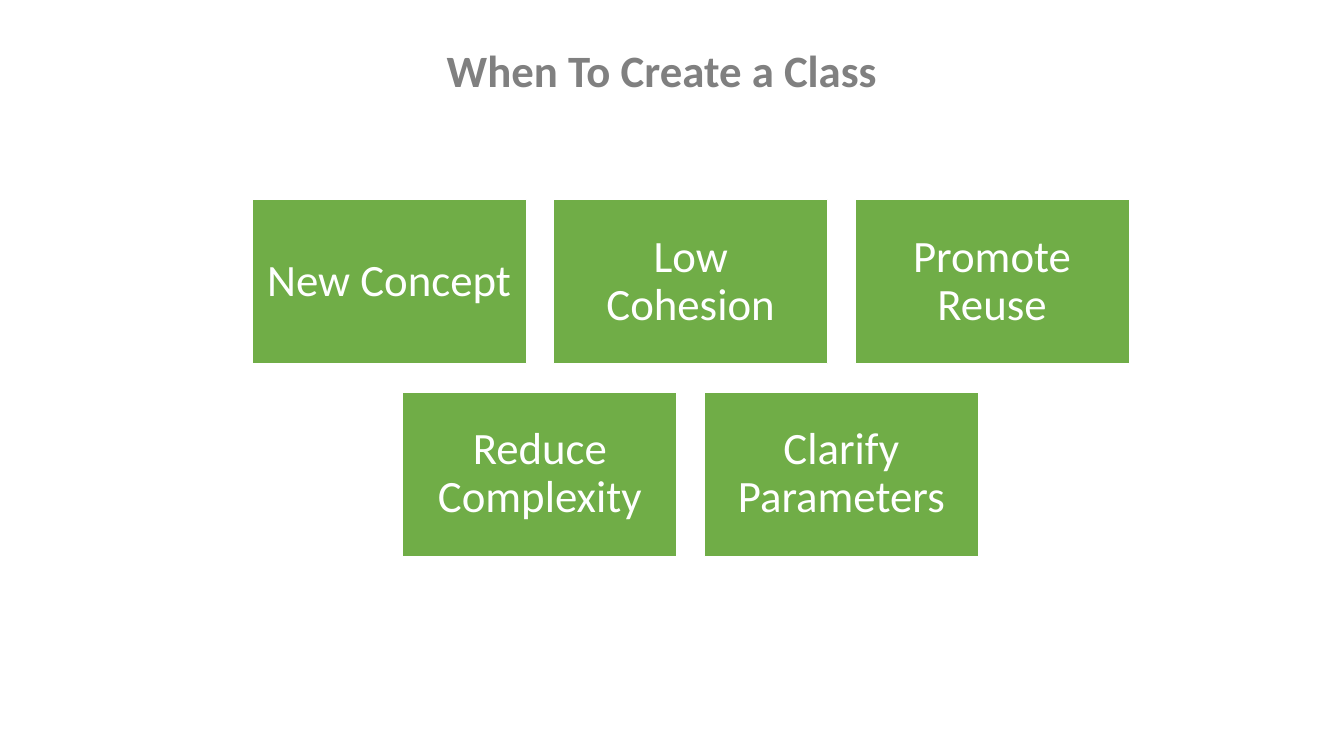
from pptx import Presentation
from pptx.dml.color import RGBColor
from pptx.enum.shapes import MSO_SHAPE
from pptx.enum.text import MSO_ANCHOR, MSO_AUTO_SIZE, PP_ALIGN
from pptx.util import Inches, Pt

TITLE = "When To Create a Class"
REASONS = [
    ["New Concept", "Low Cohesion", "Promote Reuse"],
    ["Reduce Complexity", "Clarify Parameters"],
]
COLORS = {"title": "808080", "box": "70AD47", "white": "FFFFFF"}
RECT, CENTER = MSO_SHAPE.RECTANGLE, PP_ALIGN.CENTER
MIDDLE, TOP, NO_FIT = MSO_ANCHOR.MIDDLE, MSO_ANCHOR.TOP, MSO_AUTO_SIZE.NONE

SLIDE_W, SLIDE_H = 13.33, 7.5
TITLE_BOX = (2.68, 0.37, 7.77, 0.64)
BOX_W, BOX_H, GAP = 2.72, 1.63, 0.27
GRID_CENTER, GRID_TOP, ROW_STEP = 6.85, 1.98, 1.91
TITLE_FRAME = {"word_wrap": True, "auto_size": NO_FIT, "vertical_anchor": TOP}
BOX_FRAME = {"word_wrap": True, "vertical_anchor": MIDDLE}
BOX_FRAME |= {f"margin_{side}": Inches(0.13) for side in ("left", "top", "right", "bottom")}
TITLE_PARAGRAPH = {"alignment": CENTER, "line_spacing": 1.0}
BOX_PARAGRAPH = {"alignment": CENTER, "line_spacing": 0.9}


def rgb(name):
    return RGBColor.from_string(COLORS[name])


def apply(target, formats):
    for name, value in formats.items():
        setattr(target, name, value)


def write(sp, text, frame, paragraph, color, bold):
    tf = sp.text_frame
    apply(tf, frame)
    p = tf.paragraphs[0]
    apply(p, paragraph)
    r = p.add_run()
    r.text = text
    apply(r.font, {"name": "Calibri", "size": Pt(32), "bold": bold})
    r.font.color.rgb = rgb(color)


prs = Presentation()
prs.slide_width, prs.slide_height = Inches(SLIDE_W), Inches(SLIDE_H)
s = prs.slides.add_slide(prs.slide_layouts[5])

title = s.shapes.title
apply(title, dict(zip(("left", "top", "width", "height"), map(Inches, TITLE_BOX))))
write(title, TITLE, TITLE_FRAME, TITLE_PARAGRAPH, "title", True)

for row, reasons in enumerate(REASONS):
    row_w = len(reasons) * (BOX_W + GAP) - GAP
    for col, reason in enumerate(reasons):
        x = GRID_CENTER - row_w / 2 + col * (BOX_W + GAP)
        y = GRID_TOP + row * ROW_STEP
        sp = s.shapes.add_shape(RECT, Inches(x), Inches(y), Inches(BOX_W), Inches(BOX_H))
        sp.shadow.inherit = False
        sp.fill.solid()
        sp.fill.fore_color.rgb = rgb("box")
        sp.line.color.rgb = rgb("white")
        sp.line.width = Pt(1)
        write(sp, reason, BOX_FRAME, BOX_PARAGRAPH, "white", False)

prs.save("out.pptx")
